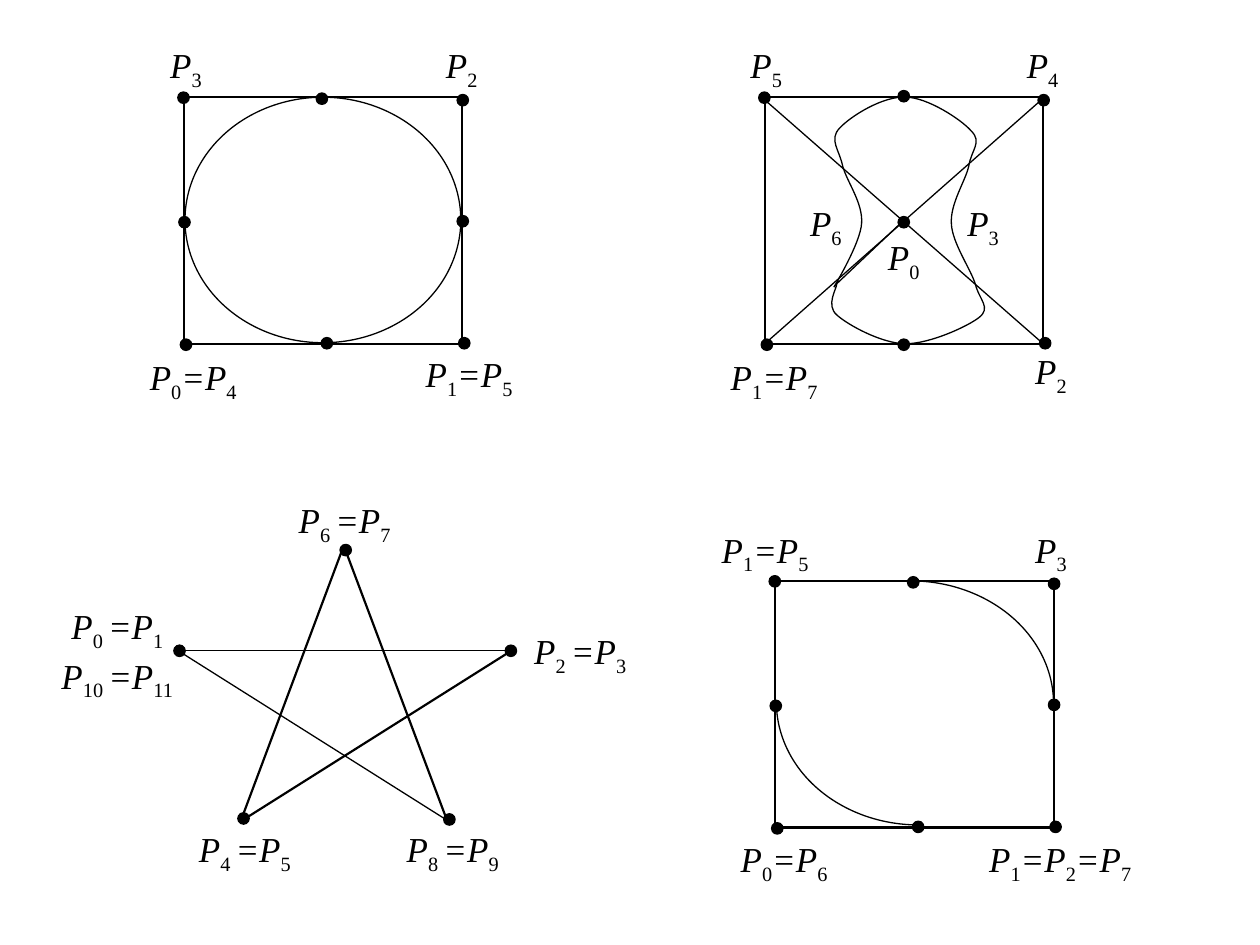
from lxml import etree
from pptx import Presentation
from pptx.dml.color import RGBColor
from pptx.enum.shapes import MSO_CONNECTOR, MSO_SHAPE
from pptx.enum.text import MSO_AUTO_SIZE
from pptx.oxml.ns import qn
from pptx.util import Cm, Pt

COLORS = {"ink": "000000"}
INK = RGBColor.from_string(COLORS["ink"])
THIN, THICK = 0.75, 1.25
DOT = 0.23

prs = Presentation()
prs.slide_width, prs.slide_height = Cm(25.4), Cm(19.05)
s = prs.slides.add_slide(prs.slide_layouts[6])


def set_ink(sp, weight=THIN, filled=False):
    """Draw a shape in black, with a solid or an empty inside."""
    sp.shadow.inherit = False
    sp.line.color.rgb = INK
    sp.line.width = Pt(weight)
    if filled:
        sp.fill.solid()
        sp.fill.fore_color.rgb = INK
    else:
        sp.fill.background()


def add_label(text, x, y, *, width, size=20, font="Times New Roman", color=INK):
    """Write a formula; every second part between bars is an upright subscript."""
    tf = s.shapes.add_textbox(Cm(x), Cm(y), Cm(width), Cm(1.22)).text_frame
    tf.word_wrap = True
    tf.auto_size = MSO_AUTO_SIZE.SHAPE_TO_FIT_TEXT
    for i, part in enumerate(text.split("|")):
        r = tf.paragraphs[0].add_run()
        r.text = part
        r.font.name, r.font.size, r.font.color.rgb = font, Pt(size), color
        r.font.italic = i % 2 == 0
        if i % 2:
            r._r.get_or_add_rPr().set("baseline", "-25000")


# The three squares share one frame, moved by an offset
frame_lines = [
    (3.76, 1.96, 9.32, 1.96),
    (3.71, 6.91, 3.71, 2.06),
    (9.32, 6.93, 9.32, 1.9),
    (3.76, 6.93, 9.32, 6.93),
]
corners = [(3.7, 1.97), (9.33, 2.02), (9.36, 6.92), (3.75, 6.95)]
midpoints = [(6.49, 1.99), (9.33, 4.46), (6.59, 6.92), (3.72, 4.48)]
squares = [
    (0, 0, corners + midpoints),
    (11.71, 0, corners),
    (11.92, 9.75, corners + midpoints),
]
lines, dots = [], []
for dx, dy, points in squares:
    lines += [(x1 + dx, y1 + dy, x2 + dx, y2 + dy, THICK)
              for x1, y1, x2, y2 in frame_lines]
    dots += [(x + dx, y + dy) for x, y in points]

# Diagonals and centre column of the hourglass square
lines += [(15.47, 2.06, 21.03, 6.93, THIN), (21.03, 1.98, 15.44, 6.91, THIN)]
dots += [(18.22, y) for y in (1.94, 4.48, 6.95)]

# Star
lines += [
    (9.02, 16.56, 6.93, 11, THICK),
    (3.58, 13.11, 10.31, 13.11, THIN),
    (3.58, 13.11, 9.02, 16.54, THIN),
    (4.85, 16.56, 6.93, 11, THICK),
    (4.85, 16.56, 10.21, 13.18, THICK),
]
dots += [(6.97, 11.09), (3.62, 13.12), (10.3, 13.12), (9.06, 16.52), (4.91, 16.5)]

for x1, y1, x2, y2, weight in lines:
    line = s.shapes.add_connector(MSO_CONNECTOR.STRAIGHT, Cm(x1), Cm(y1), Cm(x2), Cm(y2))
    line.line.color.rgb = INK
    line.line.width = Pt(weight)
    etree.SubElement(line._element.spPr, qn("a:effectLst"))

for x, y in dots:
    dot = s.shapes.add_shape(MSO_SHAPE.OVAL, Cm(x - DOT / 2), Cm(y - DOT / 2), Cm(DOT), Cm(DOT))
    set_ink(dot, filled=True)

# Circle, and the two quarter arcs of the lower right square
for kind, x, y, w, h, turn in [
    (MSO_SHAPE.OVAL, 3.73, 1.96, 5.56, 4.95, 0),
    (MSO_SHAPE.ARC, 15.47, 11.71, 5.77, 4.95, 0),
    (MSO_SHAPE.ARC, 15.65, 11.68, 5.74, 4.95, 180),
]:
    curve = s.shapes.add_shape(kind, Cm(x), Cm(y), Cm(w), Cm(h))
    curve.rotation = turn
    set_ink(curve)

# Hourglass: a straight start, then groups of two control points and an end point
start, first = (18.21, 4.45), (16.87, 5.72)
bezier_points = [
    (16.87, 5.82), (16.64, 6.15), (16.87, 6.35),
    (17.09, 6.55), (17.78, 6.93), (18.26, 6.93),
    (18.75, 6.93), (19.51, 6.58), (19.74, 6.4),
    (19.99, 6.2), (19.74, 6.05), (19.66, 5.72),
    (19.56, 5.41), (19.2, 4.9), (19.18, 4.52),
    (19.15, 4.11), (19.46, 3.66), (19.53, 3.35),
    (19.58, 3.02), (19.81, 2.87), (19.58, 2.64),
    (19.38, 2.41), (18.69, 1.96), (18.26, 1.96),
    (17.81, 1.93), (17.15, 2.34), (16.92, 2.59),
    (16.71, 2.82), (16.92, 3.02), (16.99, 3.35),
    (17.07, 3.66), (17.4, 4.09), (17.37, 4.5),
    (17.35, 4.9), (16.81, 5.79), (16.81, 5.79),
]
builder = s.shapes.build_freeform(Cm(start[0]), Cm(start[1]))
builder.add_line_segments([(Cm(x), Cm(y)) for x, y in [first] + bezier_points], close=False)
hourglass = builder.convert_to_shape()
set_ink(hourglass)
path = next(hourglass._element.iter(qn("a:path")))
segments = path.findall(qn("a:lnTo"))[1:]
for i in range(0, len(segments), 3):
    bezier = etree.SubElement(path, qn("a:cubicBezTo"))
    for segment in segments[i:i + 3]:
        bezier.append(segment[0])
        path.remove(segment)

label_widths = {2: 1.78, 4: 3.38, 6: 3.96}
for text, x, y in [
    ("P|3", 3.18, 0.76),
    ("P|2", 8.74, 0.76),
    ("P|0|=P|4", 2.77, 7.04),
    ("P|1|=P|5", 8.33, 6.99),
    ("P|5", 14.88, 0.76),
    ("P|4", 20.45, 0.76),
    ("P|6", 16.08, 3.94),
    ("P|3", 19.25, 3.94),
    ("P|0", 17.65, 4.62),
    ("P|1|=P|7", 14.48, 7.04),
    ("P|2", 20.62, 6.93),
    ("P|6 |=P|7", 5.77, 9.93),
    ("P|0 |=P|1", 1.19, 12.07),
    ("P|10 |=P|11", 0.99, 13.06),
    ("P|2 |=P|3", 10.52, 12.57),
    ("P|4 |=P|5", 3.76, 16.56),
    ("P|8 |=P|9", 7.95, 16.56),
    ("P|1|=P|5", 14.3, 10.52),
    ("P|3", 20.62, 10.52),
    ("P|0|=P|6", 14.68, 16.76),
    ("P|1|=P|2|=P|7", 19.69, 16.76),
]:
    add_label(text, x, y, width=label_widths[len(text.split("|"))])

prs.save("out.pptx")
